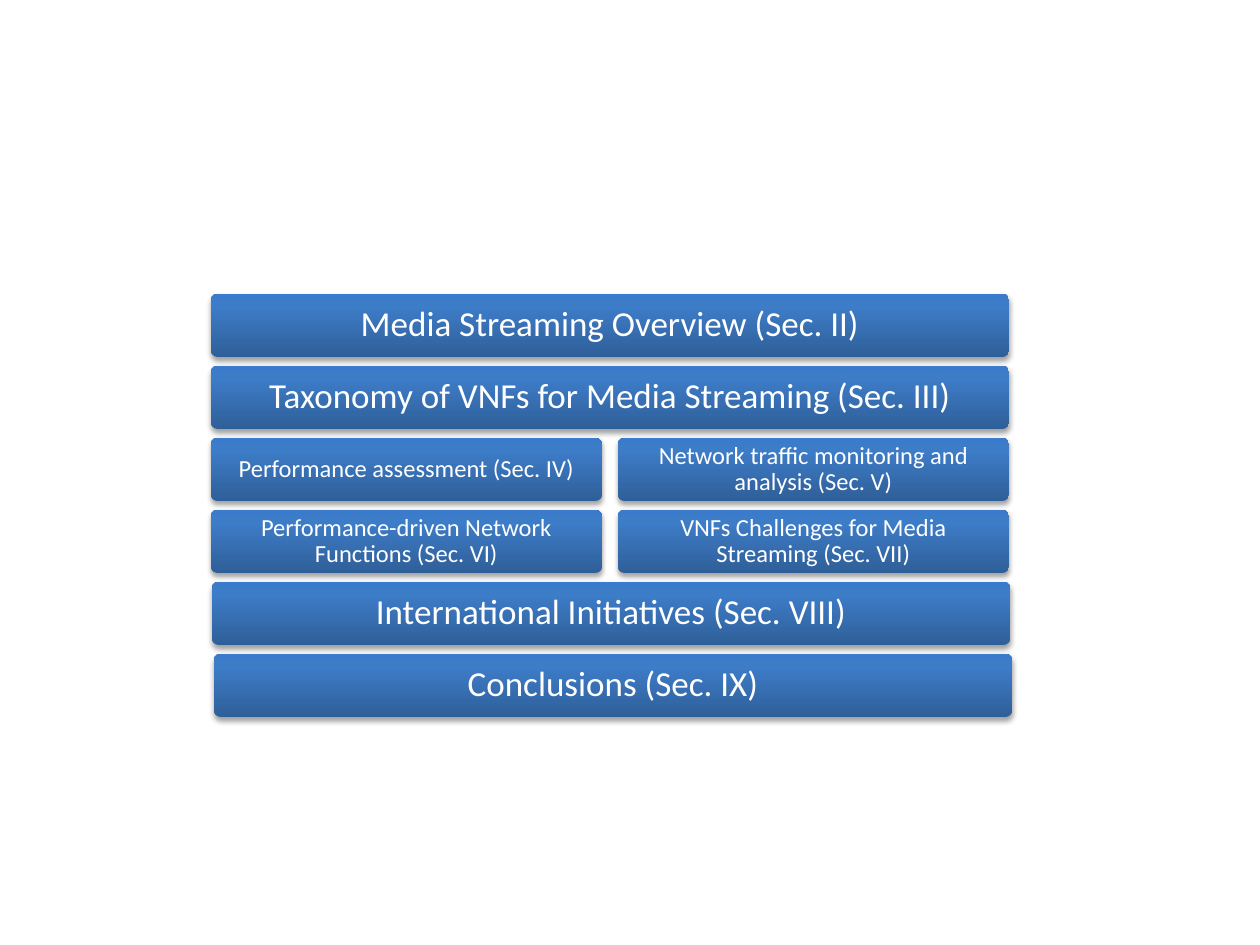
from copy import deepcopy
from dataclasses import dataclass

from lxml import etree
from pptx import Presentation
from pptx import util as u
from pptx.dml import color
from pptx.enum import shapes, text
from pptx.oxml import ns

EMU_PER_PX = 914400 / 126


@dataclass(frozen=True)
class Theme:
    font: str = "Calibri"
    text_color: str = "FFFFFF"
    shadow_color: str = "000000"
    gradient: tuple[tuple[float, str], ...] = (
        (0, "2F5F99"), (0.8, "3D7CC7"), (1, "3A7CCB"))
    wide_size: int = 20
    half_size: int = 14


@dataclass(frozen=True)
class Section:
    label: str
    row: int
    column: int | None = None  # None spans both columns
    shift: int = 0


THEME = Theme()
LEFT, TOP = 211, 294
WIDE_WIDTH, HALF_WIDTH, HEIGHT = 798, 391, 63
ROW_PITCH = 72
COLUMN_PITCH = WIDE_WIDTH - HALF_WIDTH

SECTIONS = (
    Section("Media Streaming Overview (Sec. II)", 0),
    Section("Taxonomy of VNFs for Media Streaming (Sec. III)", 1),
    Section("Performance assessment (Sec. IV)", 2, 0),
    Section("Performance-driven Network Functions (Sec. VI)", 3, 0),
    Section("Network traffic monitoring and analysis (Sec. V)", 2, 1),
    Section("VNFs Challenges for Media Streaming (Sec. VII)", 3, 1),
    Section("International Initiatives (Sec. VIII)", 4, shift=1),
    Section("Conclusions (Sec. IX)", 5, shift=3),
)


def px(length: int) -> u.Emu:
    return u.Emu(round(length * EMU_PER_PX))


def set_attributes(target, values: dict) -> None:
    for name, value in values.items():
        setattr(target, name, value)


def fill_gradient(shape) -> None:
    shape.fill.gradient()
    shape.fill.gradient_angle = 90
    stop_list = shape._element.spPr.find(".//" + ns.qn("a:gsLst"))
    stop_list.insert(1, deepcopy(stop_list[0]))
    for stop, (position, rgb) in zip(shape.fill.gradient_stops, THEME.gradient):
        stop.position = position
        stop.color.rgb = color.RGBColor.from_string(rgb)


def add_shadow(shape) -> None:
    shape.shadow.inherit = False
    effects = shape._element.spPr.find(ns.qn("a:effectLst"))
    shadow = etree.SubElement(
        effects, ns.qn("a:outerShdw"), blurRad=str(u.Pt(3.1)),
        dist=str(u.Pt(1.7)), dir="5400000", rotWithShape="0")
    rgb = etree.SubElement(shadow, ns.qn("a:srgbClr"), val=THEME.shadow_color)
    etree.SubElement(rgb, ns.qn("a:alpha"), val="36000")


def add_section(slide, section: Section) -> None:
    wide = section.column is None
    left = LEFT + section.shift + (section.column or 0) * COLUMN_PITCH
    shape = slide.shapes.add_shape(
        shapes.MSO_SHAPE.ROUNDED_RECTANGLE,
        px(left), px(TOP + section.row * ROW_PITCH),
        px(WIDE_WIDTH if wide else HALF_WIDTH), px(HEIGHT))
    shape.adjustments[0] = 0.1
    fill_gradient(shape)
    shape.line.fill.background()
    add_shadow(shape)

    frame = shape.text_frame
    inset = px(12 if wide else 9)
    set_attributes(frame, {
        "word_wrap": True, "vertical_anchor": text.MSO_ANCHOR.MIDDLE,
        "margin_left": inset, "margin_right": inset,
        "margin_top": inset, "margin_bottom": inset})
    paragraph = frame.paragraphs[0]
    set_attributes(paragraph, {
        "text": section.label, "alignment": text.PP_ALIGN.CENTER,
        "line_spacing": 0.9})
    font = paragraph.runs[0].font
    set_attributes(font, {
        "name": THEME.font,
        "size": u.Pt(THEME.wide_size if wide else THEME.half_size)})
    font.color.rgb = color.RGBColor.from_string(THEME.text_color)


def main() -> None:
    presentation = Presentation()
    set_attributes(presentation, {
        "slide_width": px(1260), "slide_height": px(945)})
    slide = presentation.slides.add_slide(presentation.slide_layouts[6])
    for section in SECTIONS:
        add_section(slide, section)
    presentation.save("out.pptx")


if __name__ == "__main__":
    main()
